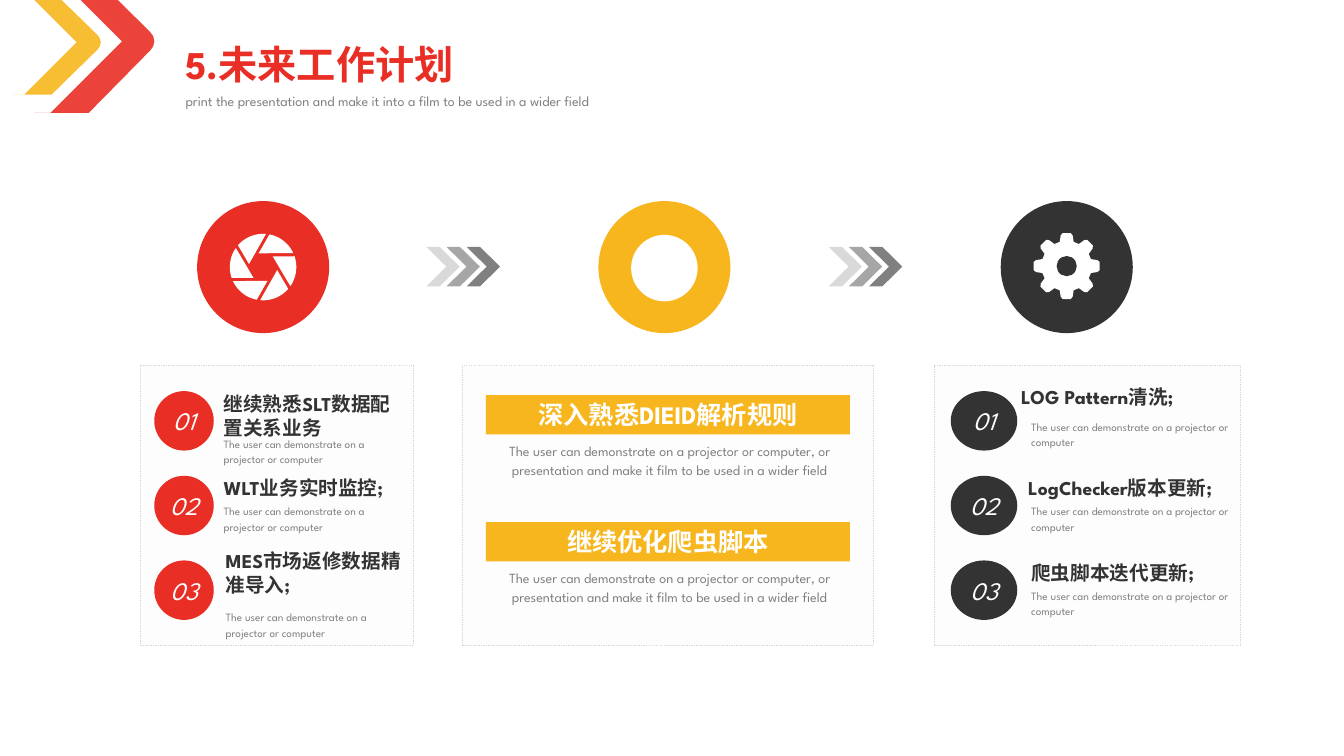
from math import cos, radians, sin
from pptx import Presentation
from pptx.dml.color import RGBColor
from pptx.enum.dml import MSO_LINE
from pptx.enum.shapes import MSO_SHAPE
from pptx.enum.text import MSO_ANCHOR, MSO_AUTO_SIZE, PP_ALIGN
from pptx.oxml.ns import qn
from pptx.util import Inches, Pt
from lxml.etree import SubElement

COLORS = {"red": "E92E25", "yellow": "F7B61D", "dark": "333333", "grey": "808080",
          "mid": "A6A6A6", "light": "D9D9D9", "card": "FDFDFD", "white": "FFFFFF"}
FONT = "League Spartan"
COLUMNS, ROWS = 133.3, 75  # square grid cells, ten to the inch


def cells(count):
    return Inches(count / 10)


def polar(center, radius, angle):
    return (center[0] + radius * cos(radians(angle)),
            center[1] + radius * sin(radians(angle)))


class SlideBuilder:
    def __init__(self, slide):
        self.slide = slide
        self.shapes = slide.shapes

    def paint(self, shape, color, alpha=None):
        shape.shadow.inherit = False
        shape.fill.solid()
        shape.fill.fore_color.rgb = RGBColor.from_string(COLORS[color])
        shape.line.fill.background()
        if alpha:
            fill = shape.element.spPr.find(qn("a:solidFill"))
            SubElement(fill[0], qn("a:alpha")).set("val", str(alpha * 1000))
        return shape

    def shape(self, kind, left, top, width, height, color):
        shape = self.shapes.add_shape(kind, *map(cells, (left, top, width, height)))
        return self.paint(shape, color)

    def outline(self, contours, color, alpha=None):
        scaled = [[(cells(x), cells(y)) for x, y in contour] for contour in contours]
        builder = self.shapes.build_freeform(*scaled[0][0], scale=1.0)
        for number, contour in enumerate(scaled):
            if number:
                builder.move_to(*contour[0])
            builder.add_line_segments(contour[1:], close=True)
        return self.paint(builder.convert_to_shape(), color, alpha)

    def set_text(self, shape, text, size, color, bold=False, italic=False,
                 align=PP_ALIGN.LEFT, anchor=MSO_ANCHOR.TOP, spacing=1.0, wrap=True):
        frame = shape.text_frame
        frame.text = text
        frame.word_wrap = wrap
        frame.auto_size = MSO_AUTO_SIZE.NONE
        frame.vertical_anchor = anchor
        paragraph = frame.paragraphs[0]
        paragraph.alignment = align
        paragraph.line_spacing = spacing
        paragraph.space_before = Pt(0)
        font = paragraph.font
        font.name, font.size, font.bold, font.italic = FONT, Pt(size), bold, italic
        font.color.rgb = RGBColor.from_string(COLORS[color])

    def text(self, left, top, width, height, text, size, color, **style):
        box = self.shapes.add_textbox(*map(cells, (left, top, width, height)))
        self.set_text(box, text, size, color, **style)

    def placeholder(self, index, left, top, width, height, text, size, color, **style):
        holder = self.slide.placeholders[index]
        holder.left, holder.top = cells(left), cells(top)
        holder.width, holder.height = cells(width), cells(height)
        self.set_text(holder, text, size, color, **style)

    def card(self, left, width):
        card = self.shape(MSO_SHAPE.RECTANGLE, left, 36.2, width, 27.8, "card")
        card.line.color.rgb = RGBColor.from_string(COLORS["light"])
        card.line.width = Pt(0.25)
        card.line.dash_style = MSO_LINE.DASH

    def badge(self, left, top, width, number, color):
        badge = self.shape(MSO_SHAPE.OVAL, left, top, width, 5.9, color)
        frame = badge.text_frame
        frame.margin_left = frame.margin_right = frame.margin_top = frame.margin_bottom = 0
        self.set_text(badge, f"{number:02d}", 18, "white", italic=True, wrap=False,
                      align=PP_ALIGN.CENTER, anchor=MSO_ANCHOR.MIDDLE)

    def disc(self, center, radius, color):
        self.shape(MSO_SHAPE.OVAL, center[0] - radius, center[1] - radius,
                   2 * radius, 2 * radius, color)

    def numbered_card(self, left, width, badge_left, badge_width, color, text_width, items):
        self.card(left, width)
        for number, (text_left, title_top, note_left, note_top, title) in enumerate(items, 1):
            self.badge(badge_left, 38.8 + 8.4 * (number - 1), badge_width, number, color)
            self.text(text_left, title_top, text_width, 3.4, title, 14, "dark", bold=True)
            self.text(note_left, note_top, text_width, 4.1,
                      "The user can demonstrate on a projector or computer",
                      8, "grey", spacing=1.14)


presentation = Presentation()
presentation.slide_width, presentation.slide_height = cells(COLUMNS), cells(ROWS)
builder = SlideBuilder(presentation.slides.add_slide(presentation.slide_layouts[0]))

# Heading
builder.placeholder(0, 17.4, 3.5, 45.9, 5.7, "5.未来工作计划", 28, "red", bold=True)
builder.placeholder(1, 17.4, 8.7, 60.5, 2.7, "print the presentation and make it into a film "
                    "to be used in a wider field", 10, "grey")

# Corner arrows
builder.outline([[(3.4, 11.2), (8.8, 11.2), (14.9, 5), (15.2, 4.6), (15.3, 4.1), (15.2, 3.6),
                  (14.9, 3.2), (11.7, 0), (8, 0), (12.1, 4.1), (5, 11.2)]], "red", 90)
builder.outline([[(1.2, 9.4), (5.1, 9.4), (9.7, 4.9), (9.9, 4.6), (10, 4.2), (9.9, 3.8),
                  (9.7, 3.5), (6.1, 0), (3.4, 0), (7.6, 4.2), (2.4, 9.4)]], "yellow", 90)

# Step arrows
for start in (42.3, 82.2):
    for position, shade in enumerate(("light", "mid", "grey")):
        chevron = builder.shape(MSO_SHAPE.CHEVRON, start + 2 * position, 24.5, 3.3, 3.9, shade)
        chevron.adjustments[0] = 0.6

# Step circles
shutter, camera, gear = [(x, 26.5) for x in (26.1, 65.9, 105.8)]
for center, color in ((shutter, "red"), (camera, "yellow"), (gear, "dark")):
    builder.disc(center, 6.55, color)

# Shutter blades, plain disc and gear
blades = [[polar(shutter, 3.3, turn + step) for step in range(221, 276, 6)]
          + [polar(shutter, 1.43, turn + 192)] for turn in range(0, 360, 60)]
builder.outline(blades, "white")
builder.disc((camera[0], 26.6), 3.3, "white")
gear_center = (gear[0], 26.4)
tooth = ((2.5, -16), (3.1, -11), (3.3, -7), (3.3, 7), (3.1, 11), (2.5, 16))
builder.outline([[polar(gear_center, radius, turn + step) for turn in range(0, 360, 45)
                  for radius, step in tooth]], "white")
builder.disc(gear_center, 1, "dark")

# Left card
builder.numbered_card(13.9, 27.1, 15.3, 5.9, "red", 19.5, [
    (21.2, 38.4, 21.2, 42.7, "继续熟悉SLT数据配置关系业务"),
    (21.2, 46.7, 21.2, 49.4, "WLT业务实时监控;"),
    (21.4, 54, 21.4, 59.9, "MES市场返修数据精准导入;")])

# Right card
builder.numbered_card(92.7, 30.3, 94.3, 6.6, "dark", 22.3, [
    (100.3, 37.7, 101.3, 41, "LOG Pattern清洗;"),
    (101, 46.7, 101.3, 49.4, "LogChecker版本更新;"),
    (101.3, 55.2, 101.3, 57.8, "爬虫脚本迭代更新;")])

# Middle card
builder.card(45.8, 40.8)
for top, title in ((39.2, "深入熟悉DIEID解析规则"), (51.8, "继续优化爬虫脚本")):
    banner = builder.shape(MSO_SHAPE.RECTANGLE, 48.2, top, 36.1, 3.9, "yellow")
    builder.set_text(banner, title, 18, "white", bold=True,
                     align=PP_ALIGN.CENTER, anchor=MSO_ANCHOR.MIDDLE)
    builder.text(48.3, top + 4, 36.2, 6.8, "The user can demonstrate on a projector or computer, "
                 "or presentation and make it film to be used in a wider field",
                 10, "grey", align=PP_ALIGN.CENTER, spacing=1.14)

presentation.save("out.pptx")
